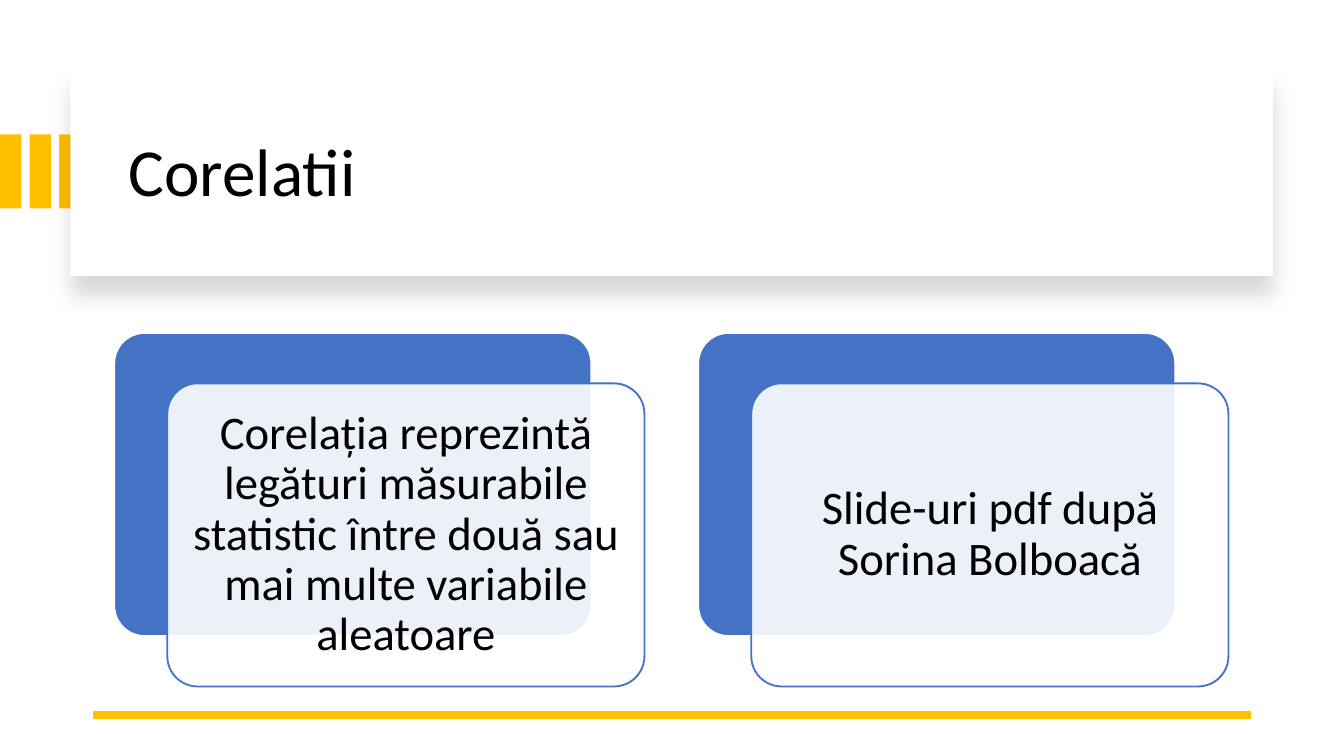
from dataclasses import dataclass

import lxml.etree
import pptx
import pptx.dml.color
import pptx.enum.shapes
import pptx.enum.text
import pptx.oxml
import pptx.oxml.ns
import pptx.util

HUES = {"gold": "FFC000", "blue": "4472C4", "white": "FFFFFF", "black": "000000"}
FONT = "Calibri"
WIDE = 10
HIGH = WIDE * 9 / 16
CELL = 0.1  # inches in one column or row of the grid
KIND = pptx.enum.shapes.MSO_SHAPE
ALIGN = pptx.enum.text.PP_ALIGN


@dataclass
class Box:
    col: float
    row: float
    cols: float
    rows: float

    def shift(self, col: float, row: float) -> "Box":
        return Box(self.col + col, self.row + row, self.cols, self.rows)

    def inset(self, gap: float) -> "Box":
        return Box(self.col + gap, self.row + gap,
                   self.cols - 2 * gap, self.rows - 2 * gap)

    def frame(self) -> list[int]:
        return [span(n) for n in (self.col, self.row, self.cols, self.rows)]


@dataclass
class Card:
    col: float
    text: str


CARDS = [
    Card(8.5, "Corelația reprezintă legături măsurabile statistic "
              "între două sau mai multe variabile aleatoare"),
    Card(51.95, "Slide-uri pdf după Sorina Bolboacă"),
]


def span(cells: float) -> int:
    return pptx.util.Inches(cells * CELL)


def tint(name: str) -> pptx.dml.color.RGBColor:
    return pptx.dml.color.RGBColor.from_string(HUES[name])


def add_sub(node, tag: str, **attrs: str):
    return lxml.etree.SubElement(node, pptx.oxml.ns.qn(tag), attrs)


def add_box(slide, kind, box: Box, fill: str, line: str = ""):
    shape = slide.shapes.add_shape(kind, *box.frame())
    shape.shadow.inherit = False
    shape.fill.solid()
    shape.fill.fore_color.rgb = tint(fill)
    if line:
        shape.line.color.rgb = tint(line)
        shape.line.width = pptx.util.Pt(1)
    else:
        shape.line.fill.background()
    return shape


def add_text(slide, box: Box, text: str, size: float, align) -> None:
    frame = slide.shapes.add_textbox(*box.frame()).text_frame
    frame.word_wrap = True
    frame.vertical_anchor = pptx.enum.text.MSO_ANCHOR.MIDDLE
    frame.margin_left = frame.margin_right = span(1)
    frame.margin_top = frame.margin_bottom = span(1)
    frame.text = text
    para = frame.paragraphs[0]
    para.alignment = align
    para.line_spacing = 0.9
    font = para.runs[0].font
    font.name = FONT
    font.size = pptx.util.Pt(size)
    font.color.rgb = tint("black")


def cast(shape) -> None:
    """Give the shape a soft shadow straight below it."""
    group = shape.element.spPr.find(pptx.oxml.ns.qn("a:effectLst"))
    shade = add_sub(group, "a:outerShdw", blurRad=str(pptx.util.Pt(11)),
                    dist=str(pptx.util.Pt(10)), dir="5400000",
                    algn="t", rotWithShape="0")
    hue = add_sub(shade, "a:srgbClr", val=HUES["black"])
    add_sub(hue, "a:alpha", val="15000")


def add_head(slide) -> None:
    for i in range(3):
        add_box(slide, KIND.RECTANGLE, Box(2.2 * i, 10, 1.6, 5.5), "gold")
    cast(add_box(slide, KIND.RECTANGLE, Box(5.23, 5, 89.5, 15.54), "white"))
    add_text(slide, Box(8.6, 6.65, 83.4, 12.7), "Corelatii", 36, ALIGN.LEFT)


def add_rule(slide) -> None:
    rule = slide.shapes.add_connector(
        pptx.enum.shapes.MSO_CONNECTOR.STRAIGHT,
        span(93.1), span(53.2), span(6.9), span(53.2))
    rule.line.color.rgb = tint("gold")
    rule.line.width = pptx.util.Pt(4.5)
    add_sub(rule.element.spPr, "a:effectLst")


def add_card(slide, card: Card) -> None:
    back = Box(card.col, 24.78, 35.5, 22.55)
    front = back.shift(3.95, 3.75)
    rear = add_box(slide, KIND.ROUNDED_RECTANGLE, back, "blue", "white")
    face = add_box(slide, KIND.ROUNDED_RECTANGLE, front, "white", "blue")
    for shape in (rear, face):
        shape.adjustments[0] = 0.1
    fill = face.element.spPr.find(pptx.oxml.ns.qn("a:solidFill"))
    add_sub(fill[0], "a:alpha", val="90000")
    add_text(slide, front.inset(0.65), card.text, 25, ALIGN.CENTER)


def main() -> None:
    deck = pptx.Presentation()
    deck.slide_width = pptx.util.Inches(WIDE)
    deck.slide_height = pptx.util.Inches(HIGH)
    slide = deck.slides.add_slide(deck.slide_layouts[6])
    add_head(slide)
    add_rule(slide)
    for card in CARDS:
        add_card(slide, card)
    deck.save("out.pptx")


if __name__ == "__main__":
    main()
